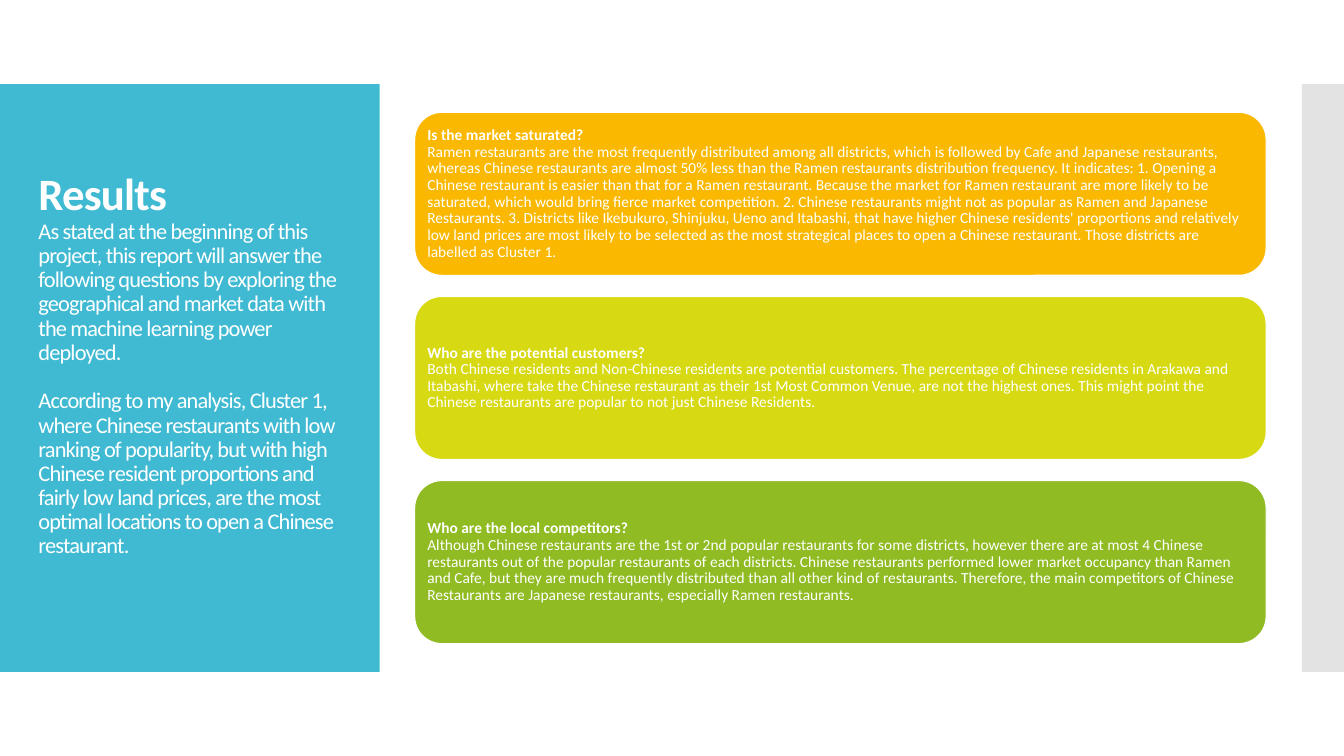
from lxml import etree
from pptx import Presentation
from pptx.dml.color import RGBColor
from pptx.enum.shapes import MSO_SHAPE
from pptx.enum.text import MSO_ANCHOR, PP_ALIGN
from pptx.oxml.ns import qn
from pptx.util import Cm, Pt

RECTANGLE = MSO_SHAPE.RECTANGLE
ROUNDED = MSO_SHAPE.ROUNDED_RECTANGLE
MIDDLE = MSO_ANCHOR.MIDDLE
LEFT = PP_ALIGN.LEFT

WHITE = RGBColor(0xFF, 0xFF, 0xFF)
TEAL = RGBColor(0x40, 0xBA, 0xD2)
GREY = RGBColor(0xC8, 0xC8, 0xC8)
ORANGE = RGBColor(0xFA, 0xB9, 0x00)
LIME = RGBColor(0xD7, 0xD9, 0x13)
GREEN = RGBColor(0x90, 0xBB, 0x23)

BAND_TOP, BAND_HEIGHT = 2.12, 14.81
CARD_LEFT, CARD_TOP, CARD_WIDTH, CARD_HEIGHT = 10.45, 2.83, 21.46, 4.11
CARD_PITCH = 4.64

SUMMARY = [
    ("Results", 32, 0),
    ("As stated at the beginning of this project, this report will answer the following questions by exploring the geographical and market data with the machine learning power deployed.", 16, 0),
    ("According to my analysis, Cluster 1, where Chinese restaurants with low ranking of popularity, but with high Chinese resident proportions and fairly low land prices, are the most optimal locations to open a Chinese restaurant.", 16, 17.5),
]

CARDS = [
    (ORANGE, "Is the market saturated?",
     "Ramen restaurants are the most frequently distributed among all districts, which is followed by Cafe and Japanese restaurants, whereas Chinese restaurants are almost 50% less than the Ramen restaurants distribution frequency. It indicates: 1. Opening a Chinese restaurant is easier than that for a Ramen restaurant. Because the market for Ramen restaurant are more likely to be saturated, which would bring fierce market competition. 2. Chinese restaurants might not as popular as Ramen and Japanese Restaurants. 3. Districts like Ikebukuro, Shinjuku, Ueno and Itabashi, that have higher Chinese residents' proportions and relatively low land prices are most likely to be selected as the most strategical places to open a Chinese restaurant. Those districts are labelled as Cluster 1."),
    (LIME, "Who are the potential customers?",
     "Both Chinese residents and Non-Chinese residents are potential customers. The percentage of Chinese residents in Arakawa and Itabashi, where take the Chinese restaurant as their 1st Most Common Venue, are not the highest ones. This might point the Chinese restaurants are popular to not just Chinese Residents."),
    (GREEN, "Who are the local competitors?",
     "Although Chinese restaurants are the 1st or 2nd popular restaurants for some districts, however there are at most 4 Chinese restaurants out of the popular restaurants of each districts. Chinese restaurants performed lower market occupancy than Ramen and Cafe, but they are much frequently distributed than all other kind of restaurants. Therefore, the main competitors of Chinese Restaurants are Japanese restaurants, especially Ramen restaurants."),
]


def add_block(kind, left, top, width, height, color):
    block = page.shapes.add_shape(kind, Cm(left), Cm(top), Cm(width), Cm(height))
    block.shadow.inherit = False
    block.fill.solid()
    block.fill.fore_color.rgb = color
    block.line.fill.background()
    return block


def write_paragraph(para, text, size, bold):
    para.text = text
    para.alignment = LEFT
    para.line_spacing = 0.9
    para.space_before = Pt(0)
    span = para.runs[0]
    span.font.name = "Calibri"
    span.font.size = Pt(size)
    span.font.bold = bold
    span.font.color.rgb = WHITE
    return span


deck = Presentation()
deck.slide_width = Cm(33.87)
deck.slide_height = Cm(19.05)
page = deck.slides.add_slide(deck.slide_layouts[6])

add_block(RECTANGLE, 0, BAND_TOP, 9.57, BAND_HEIGHT, TEAL)
side_bar = add_block(RECTANGLE, 32.81, BAND_TOP, 1.06, BAND_HEIGHT, GREY)
side_color = side_bar.fill._xPr.find(qn("a:solidFill"))[0]
etree.SubElement(side_color, qn("a:alpha")).set("val", "50000")

summary_box = page.shapes.add_textbox(Cm(0.72), Cm(3.13), Cm(8.18), Cm(12.77))
summary_frame = summary_box.text_frame
summary_frame.word_wrap = True
summary_frame.vertical_anchor = MIDDLE
summary_frame.margin_bottom = Cm(0.75)
for index, (text, size, gap) in enumerate(SUMMARY):
    para = summary_frame.add_paragraph() if index else summary_frame.paragraphs[0]
    span = write_paragraph(para, text, size, index == 0)
    para.space_before = Pt(gap)
    span.font._element.set("spc", "-60")

for index, (color, question, answer) in enumerate(CARDS):
    card = add_block(ROUNDED, CARD_LEFT, CARD_TOP + index * CARD_PITCH, CARD_WIDTH, CARD_HEIGHT, color)
    card.line.color.rgb = WHITE
    card.line.width = Pt(0.85)
    frame = card.text_frame
    frame.word_wrap = True
    frame.vertical_anchor = MIDDLE
    frame.margin_left = frame.margin_right = Cm(0.12)
    frame.margin_top = frame.margin_bottom = Cm(0.12)
    write_paragraph(frame.paragraphs[0], question, 11, True)
    write_paragraph(frame.add_paragraph(), answer, 11, False)

deck.save("out.pptx")
